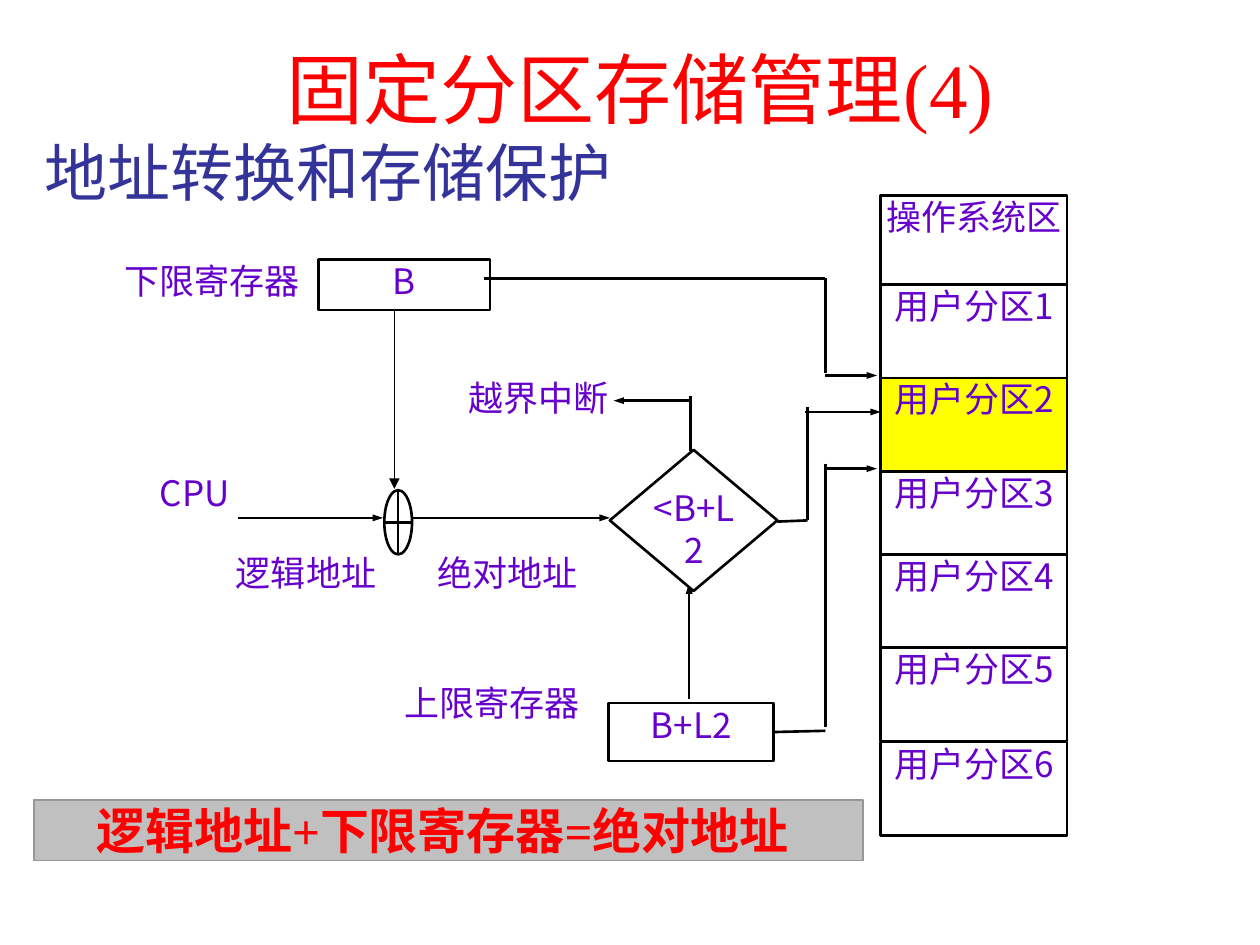
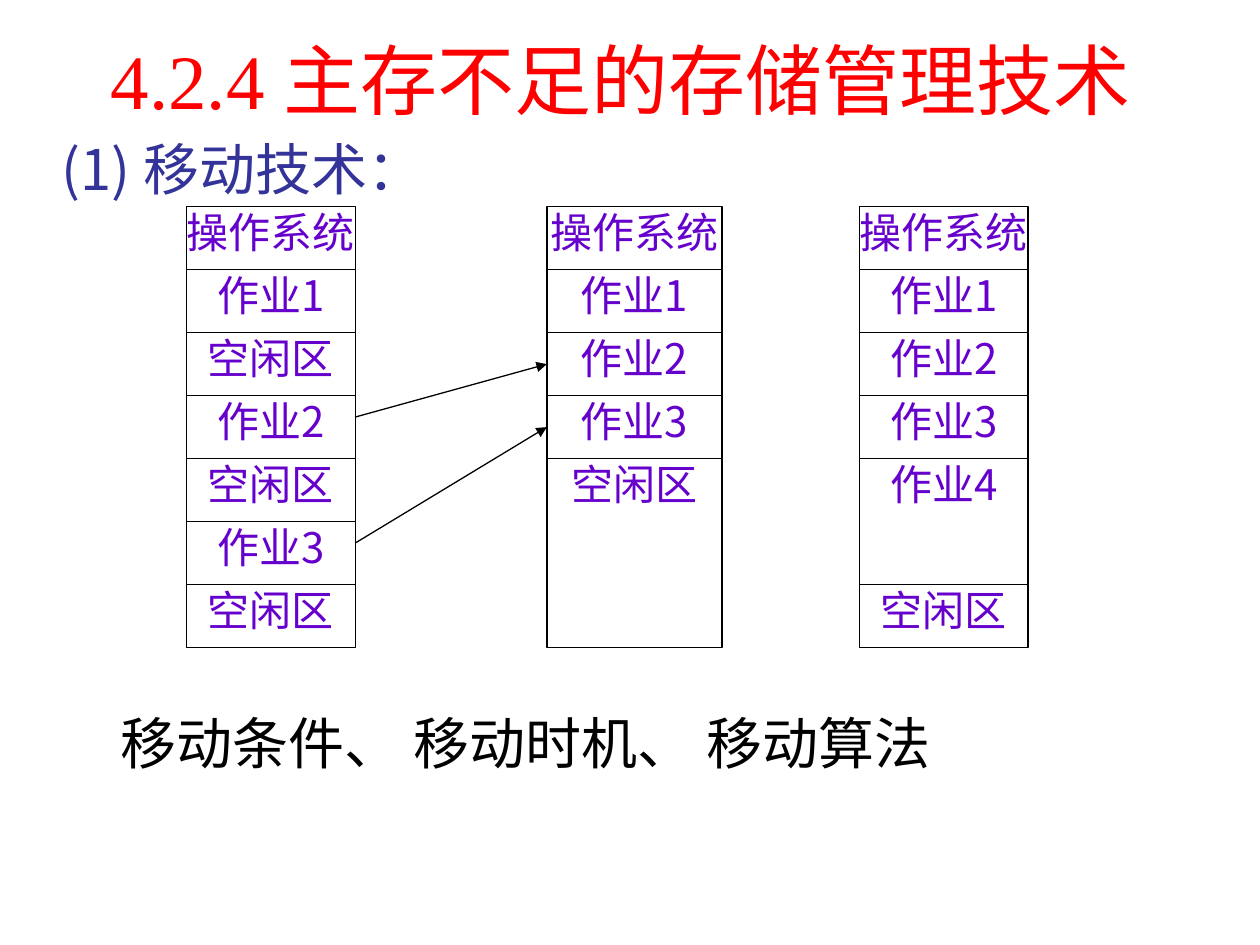
from pptx import Presentation
from pptx.util import Inches, Pt
from pptx.dml.color import RGBColor
from pptx.enum.shapes import MSO_SHAPE as Kind, MSO_CONNECTOR as Link
from pptx.enum.text import PP_ALIGN as Align, MSO_ANCHOR as Anchor, MSO_AUTO_SIZE as Fit
from pptx.oxml.ns import qn
from lxml.etree import SubElement

SANS, SERIF = "Noto Sans CJK SC", "Times New Roman"
RED, NAVY, VIOLET = "FF0000", "333399", "6600CC"
BLACK, WHITE, YELLOW = "000000", "FFFFFF", "FFFF00"
SILVER, GREY = "C0C0C0", "969696"

# Slide 1: text and place (left, top, width, height)
LABELS = [
    ("下限寄存器", (0.97, 2.06, 1.42, 0.4)),
    ("逻辑地址", (1.8, 4.38, 1.26, 0.49)),
    ("CPU", (1.21, 3.74, 0.67, 0.47)),
    ("绝对地址", (3.43, 4.38, 1.2, 0.49)),
    ("上限寄存器", (3.18, 5.41, 1.45, 0.46)),
    ("越界中断", (3.7, 2.99, 1.15, 0.74)),
]
LOWER = ("B", (2.53, 2.06, 1.36, 0.4))
UPPER = ("B+L2", (4.83, 5.58, 1.31, 0.46))
ZONES = [
    ("操作系统区", 1.55), ("用户分区1", 2.26), ("用户分区2", 3), ("用户分区3", 3.74),
    ("用户分区4", 4.4), ("用户分区5", 5.14), ("用户分区6", 5.89),
]
ACTIVE = "用户分区2"
WIRES = [
    ((3.84, 2.21), (6.55, 2.21)),
    ((6.55, 2.21), (6.55, 2.96)),
    ((6.55, 3.68), (6.55, 5.77)),
    ((5.48, 3.14), (5.48, 3.58)),
    ((6.41, 3.23), (6.41, 4.13)),
    ((6.17, 4.14), (6.41, 4.13)),
]
ARROWS = [
    ((1.89, 4.11), (3.04, 4.11)),
    ((3.27, 4.11), (4.84, 4.11)),
    ((5.47, 5.55), (5.47, 4.63)),
    ((6.39, 3.27), (6.99, 3.27)),
    ((6.55, 2.98), (6.96, 2.98)),
    ((6.55, 3.72), (6.96, 3.72)),
    ((5.49, 3.18), (4.87, 3.18)),
]

# Slide 2: left, width, and the blocks as (text, rows)
STACKS = [
    (1.48, 1.34, [("操作系统", 1), ("作业1", 1), ("空闲区", 1), ("作业2", 1),
                  ("空闲区", 1), ("作业3", 1), ("空闲区", 1)]),
    (4.34, 1.39, [("操作系统", 1), ("作业1", 1), ("作业2", 1), ("作业3", 1),
                  ("空闲区", 3)]),
    (6.82, 1.34, [("操作系统", 1), ("作业1", 1), ("作业2", 1), ("作业3", 1),
                  ("作业4", 2), ("空闲区", 1)]),
]
TOP, ROW = 1.64, 0.5
MOVES = [((2.82, 3.31), 2), ((2.82, 4.31), 3)]  # start, block in middle stack


def rgb(code):
    return RGBColor.from_string(code)


def write(shape, text, size=20, color=VIOLET, font=SANS, bold=False,
          align=Align.CENTER, anchor=Anchor.TOP, inset=(0, 0, 0, 0)):
    frame = shape.text_frame
    frame.auto_size = Fit.NONE
    frame.word_wrap = True
    frame.vertical_anchor = anchor
    (frame.margin_left, frame.margin_top,
     frame.margin_right, frame.margin_bottom) = map(Inches, inset)
    para = frame.paragraphs[0]
    para.alignment = align
    para.space_before = Pt(0)
    run = para.add_run()
    run.text = text
    face = run.font
    face.name, face.size, face.bold = font, Pt(size), bold
    face.color.rgb = rgb(color)
    SubElement(run._r.get_or_add_rPr(), qn("a:ea"), typeface=SANS)


def box(slide, place, kind=Kind.RECTANGLE, fill=WHITE, line=BLACK, width=1.5):
    shape = slide.shapes.add_shape(kind, *map(Inches, place))
    shape.shadow.inherit = False
    shape.fill.solid()
    shape.fill.fore_color.rgb = rgb(fill)
    if line:
        shape.line.color.rgb = rgb(line)
        shape.line.width = Pt(width)
    else:
        shape.line.fill.background()
    return shape


def cell(slide, text, place, size=20, **look):
    shape = box(slide, place, **look)
    write(shape, text, size=size)
    return shape


def note(slide, text, place, **style):
    write(slide.shapes.add_textbox(*map(Inches, place)), text, **style)


def wire(slide, start, end, width=1.5, head=None):
    """Draw a line; head is the arrowhead's width, such as "sm" or "med"."""
    line = slide.shapes.add_connector(Link.STRAIGHT, *map(Inches, start + end))
    line.line.color.rgb = rgb(BLACK)
    line.line.width = Pt(width)
    if head:
        SubElement(line.line._get_or_add_ln(), qn("a:tailEnd"),
                   type="triangle", w=head, len="med")
    SubElement(line._element.spPr, qn("a:effectLst"))
    return line


def page(deck, title, place):
    slide = deck.slides.add_slide(deck.slide_layouts[5])
    head = slide.shapes.title
    head.left, head.top, head.width, head.height = map(Inches, place)
    write(head, title, size=44, color=RED, font=SERIF, inset=(0.1, 0.05, 0.1, 0.05))
    return slide


def fixed(deck):
    slide = page(deck, "固定分区存储管理(4)", (0.83, 0.28, 8.5, 0.73))
    for text, place in LABELS:
        cell(slide, text, place, line=None)
    cell(slide, *LOWER)
    upper = cell(slide, *UPPER)
    for text, top in ZONES:
        fill = YELLOW if text == ACTIVE else WHITE
        cell(slide, text, (6.99, top, 1.48, 0.74), fill=fill)
    box(slide, (3.05, 3.89, 0.22, 0.51), kind=Kind.FLOWCHART_OR)
    for start, end in WIRES:
        wire(slide, start, end)
    for start, end in ARROWS:
        wire(slide, start, end, head="sm")
    wire(slide, (3.13, 2.46), (3.13, 3.88), width=0.75, head="med")
    wire(slide, (6.14, 5.81), (6.55, 5.8)).begin_connect(upper, 3)
    box(slide, (4.84, 3.57, 1.33, 1.12), kind=Kind.FLOWCHART_DECISION)
    note(slide, "<B+L2", (5.14, 3.86, 0.74, 0.46))
    note(slide, "地址转换和存储保护", (0.35, 1.06, 8.5, 0.6), size=36, color=NAVY,
         font=SERIF, align=Align.LEFT, anchor=Anchor.MIDDLE)
    band = box(slide, (0.27, 6.35, 6.58, 0.48), fill=SILVER, line=GREY, width=0.75)
    write(band, "逻辑地址+下限寄存器=绝对地址", size=28, color=RED, font=SERIF,
          bold=True, inset=(0, 0, 0.1, 0))


def moving(deck):
    slide = page(deck, "4.2.4 主存不足的存储管理技术", (0.43, 0.21, 9, 0.74))
    note(slide, "(1) 移动技术：", (0.39, 1.02, 8.36, 0.54), size=32, color=NAVY,
         align=Align.LEFT, inset=(0.1, 0.05, 0.1, 0.05))
    stacks = []
    for left, width, blocks in STACKS:
        top, cells = TOP, []
        for text, rows in blocks:
            place = (left, top, width, rows * ROW)
            cells.append(cell(slide, text, place, size=24, width=0.75))
            top += rows * ROW
        stacks.append(cells)
    for start, block in MOVES:
        end = (STACKS[1][0], TOP + (block + 0.5) * ROW)
        arrow = wire(slide, start, end, width=0.75, head="med")
        arrow.end_connect(stacks[1][block], 1)
    note(slide, "移动条件、 移动时机、 移动算法", (0.86, 5.62, 8.12, 0.54), size=32,
         color=BLACK, font=SERIF, align=Align.LEFT, inset=(0.1, 0, 0, 0))


def main():
    deck = Presentation()
    deck.slide_width, deck.slide_height = Inches(10), Inches(7.5)
    fixed(deck)
    moving(deck)
    deck.save("out.pptx")


if __name__ == "__main__":
    main()
